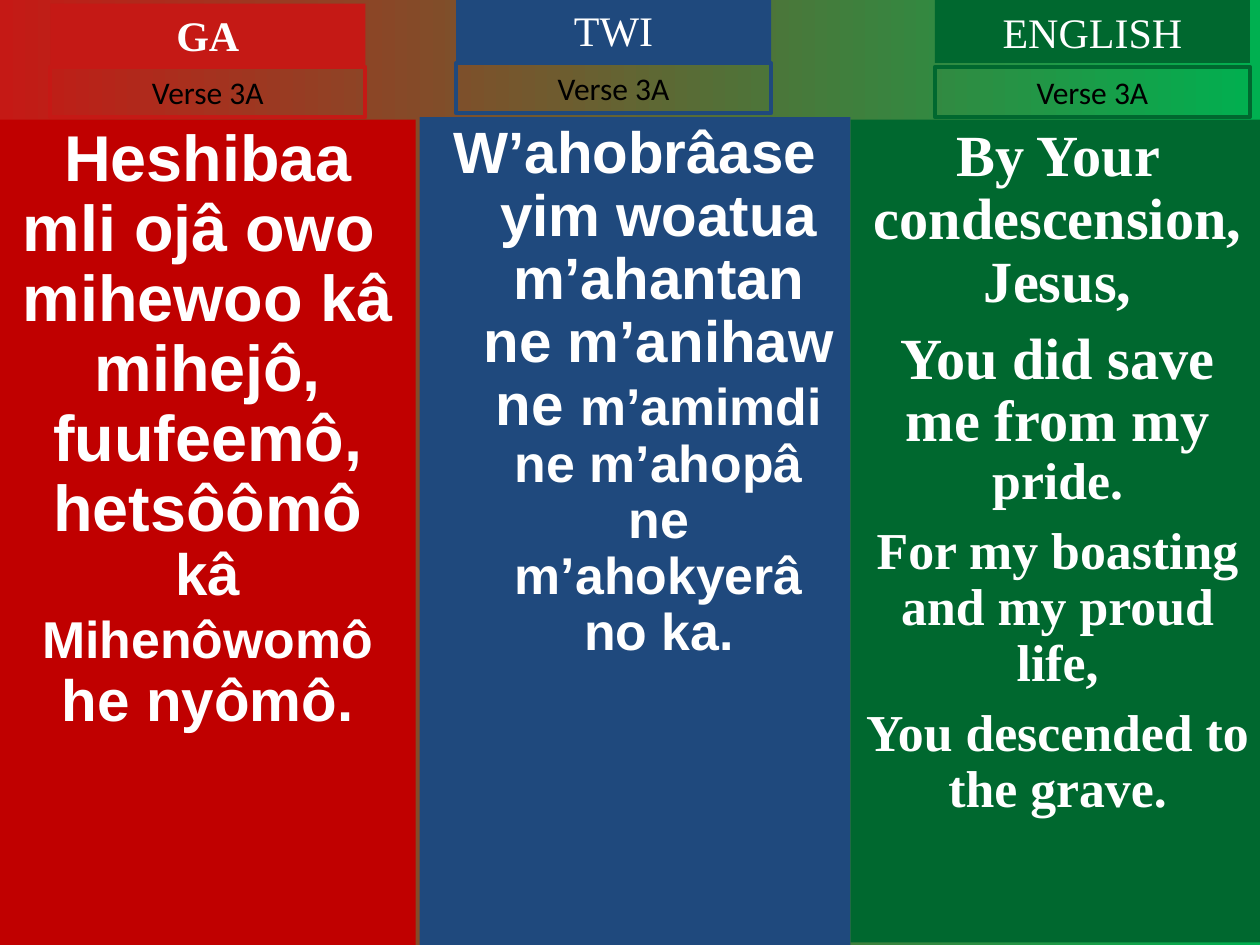
"""Build a three-language hymn verse slide in Ga, Twi and English."""
from pptx import Presentation
from pptx.dml.color import RGBColor
from pptx.enum.shapes import MSO_SHAPE
from pptx.enum.text import MSO_ANCHOR, PP_ALIGN
from pptx.util import Inches, Pt

RECTANGLE = MSO_SHAPE.RECTANGLE
TOP = MSO_ANCHOR.TOP
CENTER = PP_ALIGN.CENTER
SERIF = "Times New Roman"
WHITE = "FFFFFF"


def rgb(value):
    return RGBColor.from_string(value)


def add_box(page, place, paragraphs, font, color, bold=False, fill=None, line=None):
    box = page.shapes.add_shape(RECTANGLE, *[Inches(length) for length in place])
    box.shadow.inherit = False
    if fill:
        box.fill.solid()
        box.fill.fore_color.rgb = rgb(fill)
    else:
        box.fill.background()
    if line:
        box.line.color.rgb = rgb(line)
        box.line.width = Pt(2.25)
    else:
        box.line.fill.background()
    frame = box.text_frame
    frame.word_wrap = True
    frame.vertical_anchor = TOP
    for index, spans in enumerate(paragraphs):
        para = frame.add_paragraph() if index else frame.paragraphs[0]
        para.alignment = CENTER
        for text, size in spans:
            span = para.add_run()
            span.text = text
            span.font.size = Pt(size)
            span.font.name = font
            span.font.bold = bold
            span.font.color.rgb = rgb(color)
    return box


deck = Presentation()
deck.slide_width, deck.slide_height = Inches(10), Inches(7.5)
page = deck.slides.add_slide(deck.slide_layouts[6])

background = page.background.fill
background.gradient()
background.gradient_angle = 0
for stop, color in zip(background.gradient_stops, ("C51915", "00B050")):
    stop.color.rgb = rgb(color)

ga_verse = [
    [("Heshibaa mli ojâ owo ", 37)],
    [("mihewoo kâ mihejô,", 37)],
    [("fuufeemô, hetsôômô ", 37), ("kâ", 33.3)],
    [("Mihenôwomô", 29.6), (" he nyômô.", 33.3)],
]
twi_verse = [
    [("W’ahobrâase yim woatua m’ahantan ne m’anihaw ne ", 33.3),
     ("m’amimdi ne m’ahopâ ne m’ahokyerâ no ka.", 29.6)],
]
english_verse = [
    [("By Your condescension, Jesus,", 33.3)],
    [("You did save me from my ", 33.3), ("pride.", 29.6)],
    [("For my boasting and my proud life,", 29.6)],
    [("You descended to the grave.", 29.6)],
]

columns = [
    ("GA", "C51915", 0.4, 0.03, 0.53, "C00000", (0, 0.95, 3.3, 6.55), ga_verse, "Arial", 0, 0),
    ("TWI", "1F497D", 3.62, -0.01, 0.5, "1F497D", (3.33, 0.93, 3.42, 6.57), twi_verse, "Arial", 0, 0.38),
    ("ENGLISH", "00682F", 7.42, 0, 0.53, "00682F", (6.75, 0.95, 3.29, 6.53), english_verse, SERIF, 8, 0),
]

for language, accent, left, name_top, verse_top, fill, place, verse, font, gap, hanging in columns:
    column = add_box(page, place, verse, font, WHITE, bold=True, fill=fill)
    for index, para in enumerate(column.text_frame.paragraphs):
        para.line_spacing = 0.9
        para.space_before = Pt(gap if index else 0)
        if hanging:
            properties = para._p.get_or_add_pPr()
            properties.set("marL", str(Inches(hanging)))
            properties.set("indent", str(-Inches(hanging)))
    add_box(page, (left, name_top, 2.5, 0.5), [[(language, 24)]], SERIF, WHITE,
            bold=language == "GA", fill=accent)
    add_box(page, (left, verse_top, 2.5, 0.4), [[("Verse 3A", 18)]], "Calibri", "000000",
            line=accent)

deck.save("out.pptx")
